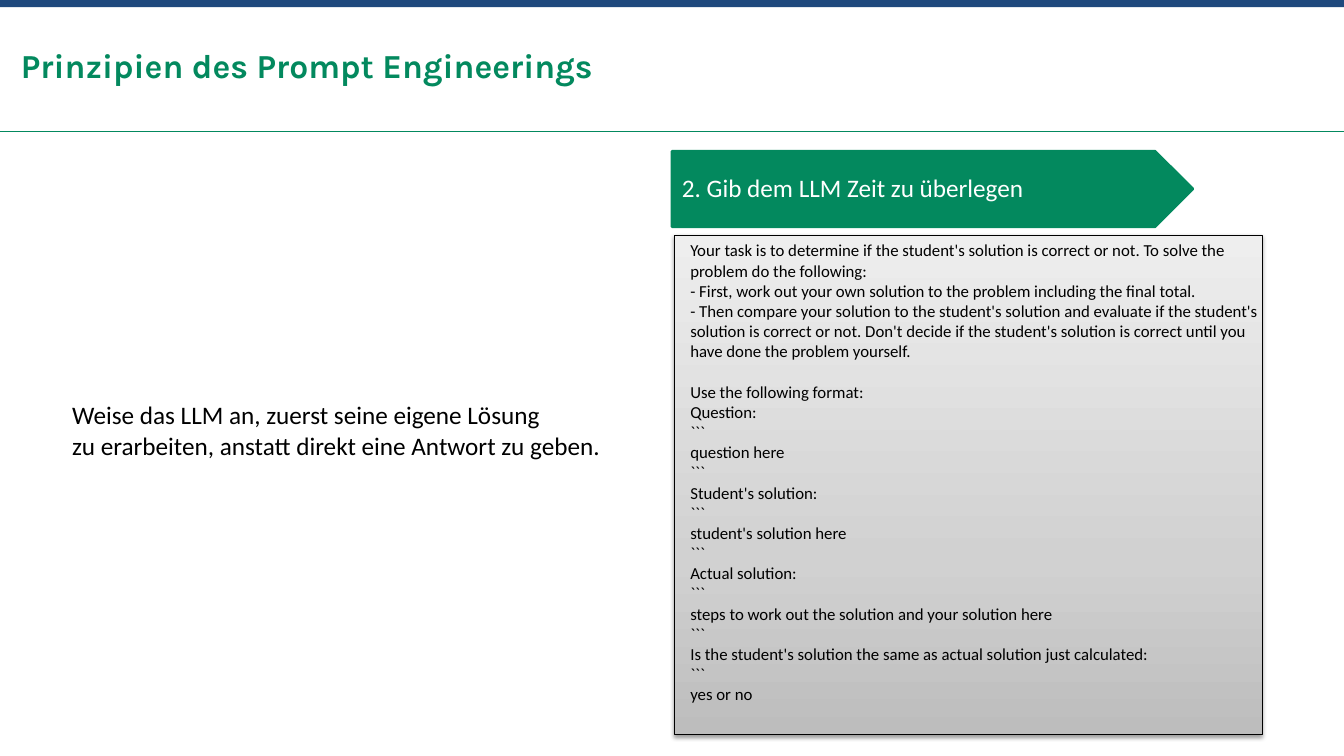
from copy import deepcopy

from lxml.etree import SubElement
from pptx import Presentation
from pptx.dml.color import RGBColor
from pptx.enum.shapes import MSO_CONNECTOR, MSO_SHAPE
from pptx.enum.text import MSO_ANCHOR as Anchor, PP_ALIGN as Align
from pptx.oxml.ns import qn
from pptx.util import Inches, Pt

GREEN = RGBColor(0x03, 0x89, 0x5E)
NAVY = RGBColor(0x1F, 0x49, 0x7D)
BLACK = RGBColor(0, 0, 0)
WHITE = RGBColor(255, 255, 255)
PANEL_STOPS = [
    (0, RGBColor(0xBD, 0xBD, 0xBD)),
    (0.35, RGBColor(0xD1, 0xD1, 0xD1)),
    (1, RGBColor(0xEE, 0xEE, 0xEE)),
]
COLUMNS, ROWS = 160, 90
CELL = Inches(1) / 12
FENCE = "```"

ADVICE = [
    "Weise das LLM an, zuerst seine eigene Lösung",
    "zu erarbeiten, anstatt direkt eine Antwort zu geben.",
]
TASK = [
    "Your task is to determine if the student's solution is correct or not. "
    "To solve the problem do the following:",
    "- First, work out your own solution to the problem including the final total.",
    "- Then compare your solution to the student's solution and evaluate if the "
    "student's solution is correct or not. Don't decide if the student's solution "
    "is correct until you have done the problem yourself.",
]
FORMAT = [
    "Use the following format:",
    "Question:", FENCE, "question here", FENCE,
    "Student's solution:", FENCE, "student's solution here", FENCE,
    "Actual solution:", FENCE,
    "steps to work out the solution and your solution here", FENCE,
    "Is the student's solution the same as actual solution just calculated:",
    FENCE, "yes or no",
]


def grid(*cells):
    """Convert grid columns and rows to slide lengths."""
    return [round(cell * CELL) for cell in cells]


def write(frame, lines, size, color, font="Calibri", bold=False):
    """Write one left-aligned paragraph per line and return the paragraphs."""
    for index, line in enumerate(lines):
        paragraph = frame.add_paragraph() if index else frame.paragraphs[0]
        paragraph.alignment = Align.LEFT
        run = paragraph.add_run()
        run.text = line
        run.font.size = Pt(size)
        run.font.name = font
        run.font.bold = bold
        run.font.color.rgb = color
    return frame.paragraphs


def add_block(shapes, kind, area, color):
    """Add a flat preset shape in one colour."""
    shape = shapes.add_shape(kind, *grid(*area))
    shape.shadow.inherit = False
    shape.fill.solid()
    shape.fill.fore_color.rgb = color
    shape.line.fill.background()
    return shape


def add_text(shapes, area, lines, size, wrap):
    """Add a black text box and return its paragraphs."""
    frame = shapes.add_textbox(*grid(*area)).text_frame
    frame.word_wrap = wrap
    return write(frame, lines, size, BLACK)


def add_rule(shapes, row):
    """Add a thin green line across the slide."""
    rule = shapes.add_connector(MSO_CONNECTOR.STRAIGHT, *grid(0, row, COLUMNS, row))
    rule.line.color.rgb = GREEN
    rule.line.width = Pt(0.72)
    SubElement(rule._element.spPr, qn("a:effectLst"))


def set_title(slide, text):
    """Place and format the title placeholder."""
    title = slide.shapes.title
    title.left, title.top, title.width, title.height = grid(2.5, 5.3, 155, 4.8)
    frame = title.text_frame
    frame.margin_left = frame.margin_right = 0
    frame.margin_top = frame.margin_bottom = 0
    frame.vertical_anchor = Anchor.BOTTOM
    write(frame, [text], 24, GREEN, "Karla", True)


def add_banner(shapes, area, text):
    """Add the green arrow-shaped heading."""
    banner = add_block(shapes, MSO_SHAPE.PENTAGON, area, GREEN)
    banner.line.color.rgb = GREEN
    banner.line.width = Pt(2)
    banner.text_frame.vertical_anchor = Anchor.MIDDLE
    write(banner.text_frame, [text], 18, WHITE)[0].line_spacing = 0.9


def shade(shape, stops):
    """Fill a shape with an upward gradient."""
    shape.fill.gradient()
    shape.fill.gradient_angle = 90
    stop_list = shape._element.spPr.find(".//" + qn("a:gsLst"))
    while len(stop_list) < len(stops):
        stop_list.append(deepcopy(stop_list[0]))
    for stop, (position, color) in zip(shape.fill.gradient_stops, stops):
        stop.position = position
        stop.color.rgb = color


def drop_shadow(shape):
    """Cast a soft shadow below a shape."""
    effects = shape._element.spPr.find(qn("a:effectLst"))
    shadow = SubElement(effects, qn("a:outerShdw"), blurRad=str(Pt(3.1)),
                        dist=str(Pt(1.6)), dir="5400000", rotWithShape="0")
    color = SubElement(shadow, qn("a:srgbClr"), val=str(BLACK))
    SubElement(color, qn("a:alpha"), val="38000")


def add_prompt(shapes):
    """Add the shaded panel together with its prompt text."""
    group = shapes.add_group_shape().shapes
    panel = add_block(group, MSO_SHAPE.RECTANGLE, (80.25, 28, 70, 59.4), WHITE)
    shade(panel, PANEL_STOPS)
    panel.line.color.rgb = BLACK
    panel.line.width = Pt(0.75)
    drop_shadow(panel)
    paragraphs = add_text(group, (81, 28, 70, 57), TASK + FORMAT, 12, True)
    paragraphs[len(TASK)].space_before = Pt(14.6)


def main():
    """Build the slide and save it."""
    presentation = Presentation()
    presentation.slide_width, presentation.slide_height = grid(COLUMNS, ROWS)
    slide = presentation.slides.add_slide(presentation.slide_layouts[5])
    shapes = slide.shapes
    add_rule(shapes, 15.7)
    add_block(shapes, MSO_SHAPE.RECTANGLE, (0, 0, COLUMNS, 0.85), NAVY)
    set_title(slide, "Prinzipien des Prompt Engineerings")
    add_banner(shapes, (80, 18, 62, 9), "2. Gib dem LLM Zeit zu überlegen")
    add_text(shapes, (7.4, 47, 66.1, 8.5), ADVICE, 18, False)
    add_prompt(shapes)
    presentation.save("out.pptx")


if __name__ == "__main__":
    main()
